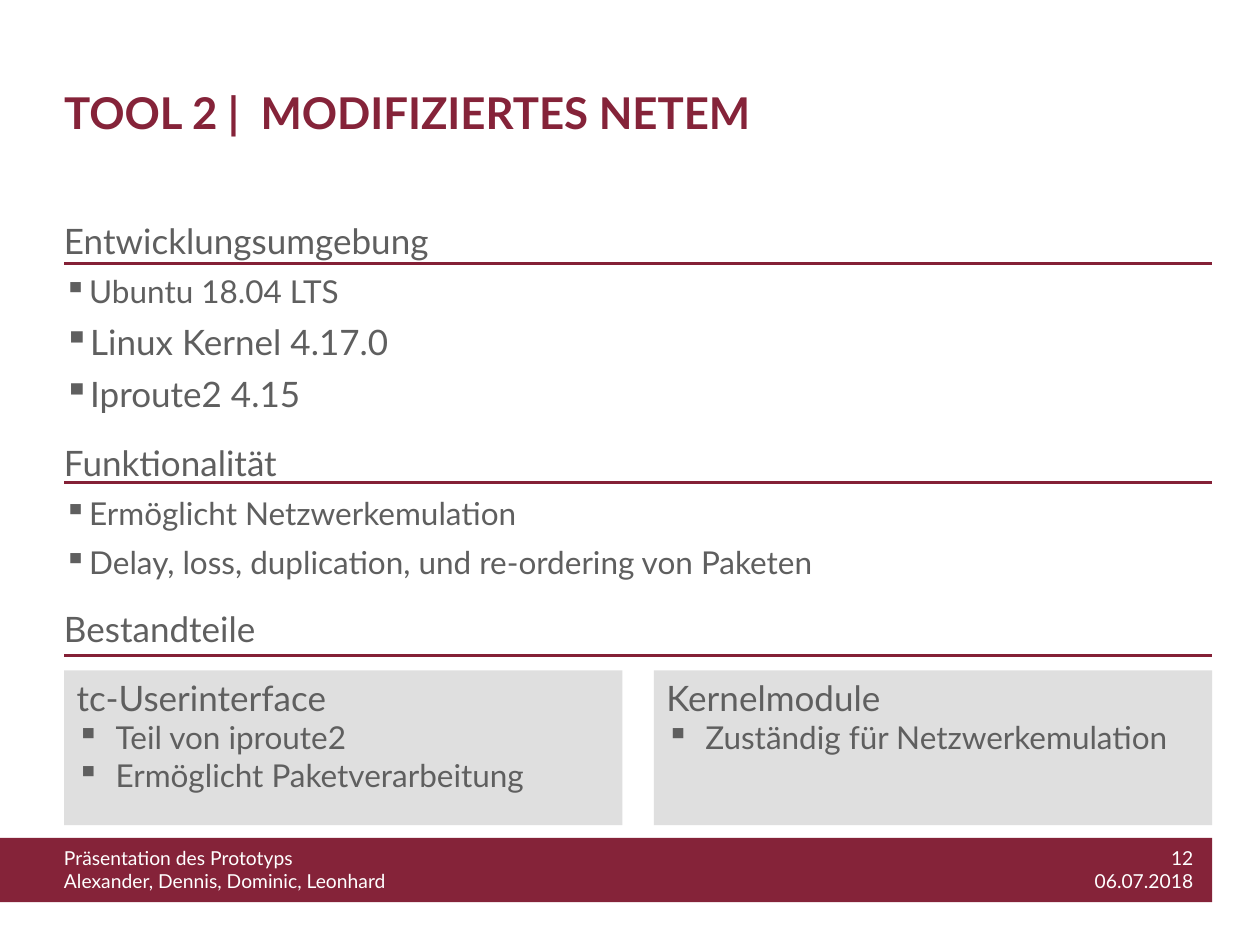
from lxml import etree
from pptx import Presentation
from pptx.dml.color import RGBColor
from pptx.enum.shapes import MSO_CONNECTOR, MSO_SHAPE
from pptx.enum.text import MSO_ANCHOR, PP_ALIGN
from pptx.oxml.ns import qn
from pptx.util import Inches, Pt

LEFT, RIGHT = PP_ALIGN.LEFT, PP_ALIGN.RIGHT
TOP, MIDDLE = MSO_ANCHOR.TOP, MSO_ANCHOR.MIDDLE
RECTANGLE, STRAIGHT = MSO_SHAPE.RECTANGLE, MSO_CONNECTOR.STRAIGHT

FONT = "Lato"
COLORS = {"bar": "852339", "rule": "842036", "text": "5F5F5F",
          "panel": "DFDFDF", "white": "FFFFFF"}
MARGIN, RIGHT_EDGE = 0.51, 9.62
TEXT_LEFT = 0.41
PANEL_WIDTH = 4.43

# Each section: heading, then (bullet, size) pairs
SECTIONS = [
    ("Entwicklungsumgebung", [("Ubuntu 18.04 LTS", 18),
                              ("Linux Kernel 4.17.0", 20),
                              ("Iproute2 4.15", 20)]),
    ("Funktionalität", [("Ermöglicht Netzwerkemulation", 18),
                        ("Delay, loss, duplication, und re-ordering von Paketen", 18)]),
    ("Bestandteile", []),
]
RULE_TOPS = [2.09, 3.83, 5.2]
PANELS = [
    ("tc-Userinterface", ["Teil von iproute2", "Ermöglicht Paketverarbeitung"]),
    ("Kernelmodule", ["Zuständig für Netzwerkemulation"]),
]


def color(name):
    return RGBColor.from_string(COLORS[name])


def style(paragraph, size, color_name="text", bold=False, align=LEFT):
    paragraph.alignment = align
    font = paragraph.font
    font.name, font.size, font.bold = FONT, Pt(size), bold
    font.color.rgb = color(color_name)


def add_bullet(paragraph, indent):
    properties = paragraph._p.get_or_add_pPr()
    properties.set("marL", str(Inches(indent)))
    properties.set("indent", str(-Inches(indent)))
    etree.SubElement(properties, qn("a:buChar")).set("char", "▪")


def add_paragraph(frame, text, size, space_before=0, indent=0):
    first = frame.paragraphs[0]
    paragraph = frame.add_paragraph() if first.text else first
    paragraph.text = text
    paragraph.space_before = Pt(space_before)
    if indent:
        add_bullet(paragraph, indent)
    style(paragraph, size)


def add_text_box(slide, left, top, width, height):
    box = slide.shapes.add_textbox(Inches(left), Inches(top),
                                   Inches(width), Inches(height))
    box.text_frame.word_wrap = True
    return box.text_frame


def add_rectangle(slide, left, top, width, height, fill):
    shape = slide.shapes.add_shape(RECTANGLE, Inches(left), Inches(top),
                                   Inches(width), Inches(height))
    shape.shadow.inherit = False
    shape.fill.solid()
    shape.fill.fore_color.rgb = color(fill)
    shape.line.fill.background()
    return shape


def add_rule(slide, top):
    rule = slide.shapes.add_connector(STRAIGHT, Inches(MARGIN), Inches(top),
                                      Inches(RIGHT_EDGE), Inches(top))
    rule.line.color.rgb = color("rule")
    rule.line.width = Pt(1.5)
    etree.SubElement(rule._element.spPr, qn("a:effectLst"))


def add_footer_text(slide, left, width, text, align):
    paragraph = add_text_box(slide, left, 6.67, width, 0.47).paragraphs[0]
    paragraph.text = text
    style(paragraph, 11, "white", align=align)


def set_title(slide, text):
    title = slide.shapes.title
    title.left, title.top = Inches(TEXT_LEFT), Inches(0.63)
    title.width, title.height = Inches(7.11), Inches(0.52)
    title.text_frame.text = text
    title.text_frame.vertical_anchor = MIDDLE
    style(title.text_frame.paragraphs[0], 25, "bar", bold=True)


def add_sections(slide):
    frame = add_text_box(slide, TEXT_LEFT, 1.69, 9.14, 4.72)
    for index, (heading, bullets) in enumerate(SECTIONS):
        add_paragraph(frame, heading, 20, space_before=15.6 if index else 0)
        for text, size in bullets:
            add_paragraph(frame, text, size, space_before=6, indent=0.2)


def add_panel(slide, left, heading, bullets):
    panel = add_rectangle(slide, left, 5.32, PANEL_WIDTH, 1.23, "panel")
    frame = panel.text_frame
    frame.word_wrap = True
    frame.vertical_anchor = TOP
    add_paragraph(frame, heading, 20)
    for text in bullets:
        add_paragraph(frame, text, 18, indent=0.31)


def main():
    presentation = Presentation()
    presentation.slide_width, presentation.slide_height = Inches(10), Inches(7.5)
    slide = presentation.slides.add_slide(presentation.slide_layouts[5])

    # Footer bar
    add_rectangle(slide, 0, 6.65, RIGHT_EDGE, 0.51, "bar")
    add_footer_text(slide, TEXT_LEFT, 5.06,
                    "Präsentation des Prototyps\vAlexander, Dennis, Dominic, Leonhard", LEFT)
    add_footer_text(slide, 8.23, 1.34, "12\v06.07.2018", RIGHT)

    # Title and sections with their rules
    set_title(slide, "TOOL 2 |  MODIFIZIERTES NETEM")
    add_sections(slide)
    for top in RULE_TOPS:
        add_rule(slide, top)

    # Component panels, flush with both margins
    for left, panel in zip((MARGIN, RIGHT_EDGE - PANEL_WIDTH), PANELS):
        add_panel(slide, left, *panel)

    presentation.save("out.pptx")


if __name__ == "__main__":
    main()
